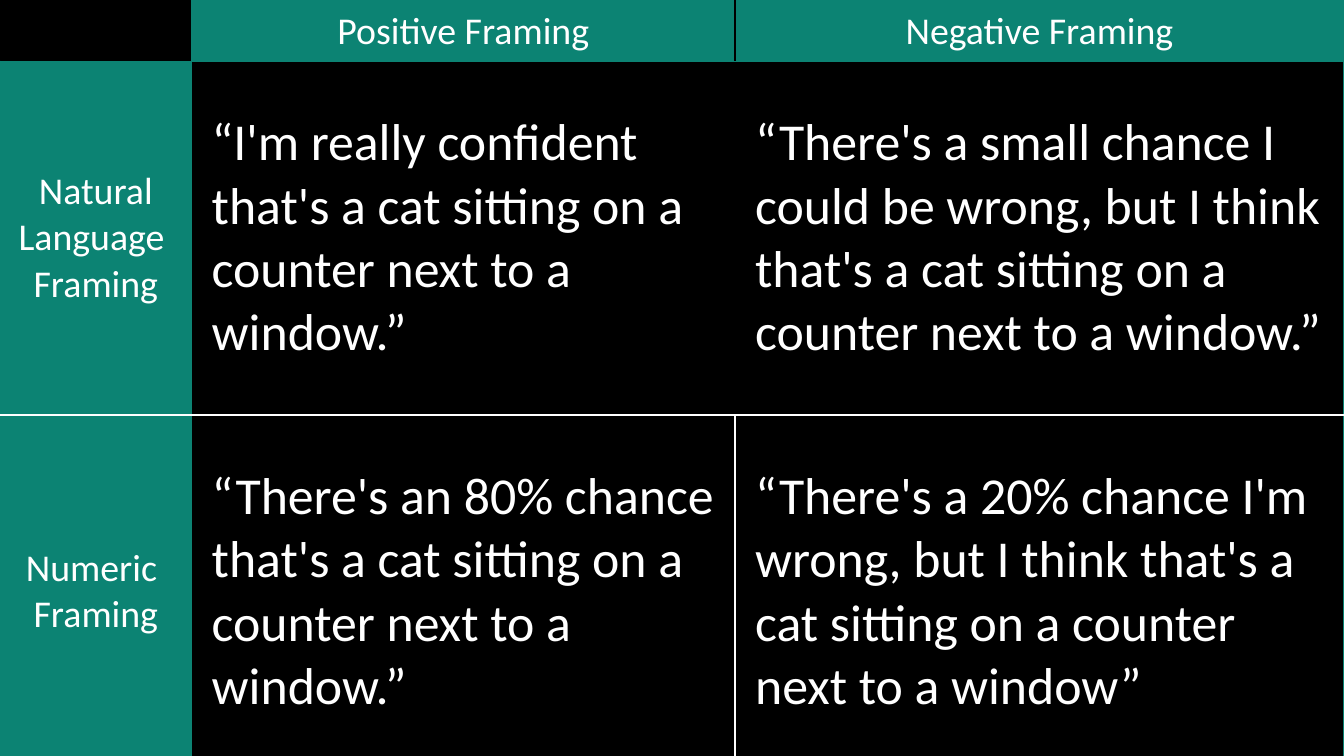
from lxml.etree import SubElement
from pptx import Presentation
from pptx.dml.color import RGBColor
from pptx.enum.text import MSO_ANCHOR as Anchor, PP_ALIGN as Align
from pptx.oxml.ns import qn
from pptx.util import Inches, Pt

TEAL, WHITE, BLACK = "0C8373", "FFFFFF", "000000"
WIDTH, HEIGHT = 13.33, 7.5
TABLE_TOP = 0.01
COLUMNS = [1.9, 5.39, 6.04]
ROWS = [0.58, 3.51, 3.51]

CELLS = [
    ["", "Positive Framing", "Negative Framing"],
    ["Natural\nLanguage \nFraming",
     "“I'm really confident that's a cat sitting on a counter next to a window.”",
     "“There's a small chance I could be wrong, but I think that's a cat sitting on a counter next to a window.”"],
    ["Numeric \nFraming",
     "“There's an 80% chance that's a cat sitting on a counter next to a window.”",
     "“There's a 20% chance I'm wrong, but I think that's a cat sitting on a counter next to a window”"],
]
UPRIGHT_RULES = [
    [None, TEAL, BLACK, TEAL],
    [TEAL, TEAL, BLACK, TEAL],
    [TEAL, TEAL, WHITE, TEAL],
]
LEVEL_RULES = [[None, TEAL, TEAL], [TEAL] * 3, [WHITE] * 3, [TEAL] * 3]

LABEL = {"size": 27, "align": Align.CENTER, "margins": (0.13, 0.07)}
QUOTE = {"size": 37, "align": Align.LEFT, "margins": (0.2, 0.2)}


def color(value):
    """Turn a hex string into a colour."""
    return RGBColor.from_string(value)


def set_all(target, values):
    """Set every attribute named in a dict."""
    for name, value in values.items():
        setattr(target, name, value)


def paint(fill, value):
    """Fill with a colour, or with nothing."""
    if value:
        fill.solid()
        fill.fore_color.rgb = color(value)
    else:
        fill.background()


def add_borders(cell, borders):
    """Draw the four one-point sides of a cell."""
    properties = cell._tc.get_or_add_tcPr()
    for side, value in borders.items():
        line = SubElement(properties, qn(f"a:ln{side}"), w=str(Pt(1)))
        if value:
            solid = SubElement(line, qn("a:solidFill"))
            SubElement(solid, qn("a:srgbClr"), val=value)
        else:
            SubElement(line, qn("a:noFill"))


def write(cell, text, style, anchor):
    """Put styled text into a cell."""
    across, down = map(Inches, style["margins"])
    set_all(cell, {"margin_left": across, "margin_right": across,
                   "margin_top": down, "margin_bottom": down,
                   "vertical_anchor": anchor})
    cell.text_frame.text = text
    for para in cell.text_frame.paragraphs:
        para.alignment = style["align"]
        set_all(para.font, {"name": "Calibri", "size": Pt(style["size"]), "bold": False})
        para.font.color.rgb = color(WHITE)


def build_table(page):
    """Add the grid of framings."""
    table = page.shapes.add_table(
        len(ROWS), len(COLUMNS), 0, Inches(TABLE_TOP),
        Inches(sum(COLUMNS)), Inches(sum(ROWS))).table
    set_all(table, {"first_row": False, "horz_banding": False})
    for column, width in zip(table.columns, COLUMNS):
        column.width = Inches(width)
    for row, height in zip(table.rows, ROWS):
        row.height = Inches(height)
    for r, texts in enumerate(CELLS):
        for c, text in enumerate(texts):
            cell = table.cell(r, c)
            is_label = r == 0 or c == 0
            add_borders(cell, {"L": UPRIGHT_RULES[r][c], "R": UPRIGHT_RULES[r][c + 1],
                               "T": LEVEL_RULES[r][c], "B": LEVEL_RULES[r + 1][c]})
            paint(cell.fill, TEAL if is_label and text else None)
            write(cell, text, LABEL if is_label else QUOTE,
                  Anchor.BOTTOM if r == 0 else Anchor.MIDDLE)


def main():
    """Build and save the slide."""
    deck = Presentation()
    set_all(deck, {"slide_width": Inches(WIDTH), "slide_height": Inches(HEIGHT)})
    page = deck.slides.add_slide(deck.slide_layouts[6])
    paint(page.background.fill, BLACK)
    build_table(page)
    deck.save("out.pptx")


if __name__ == "__main__":
    main()
